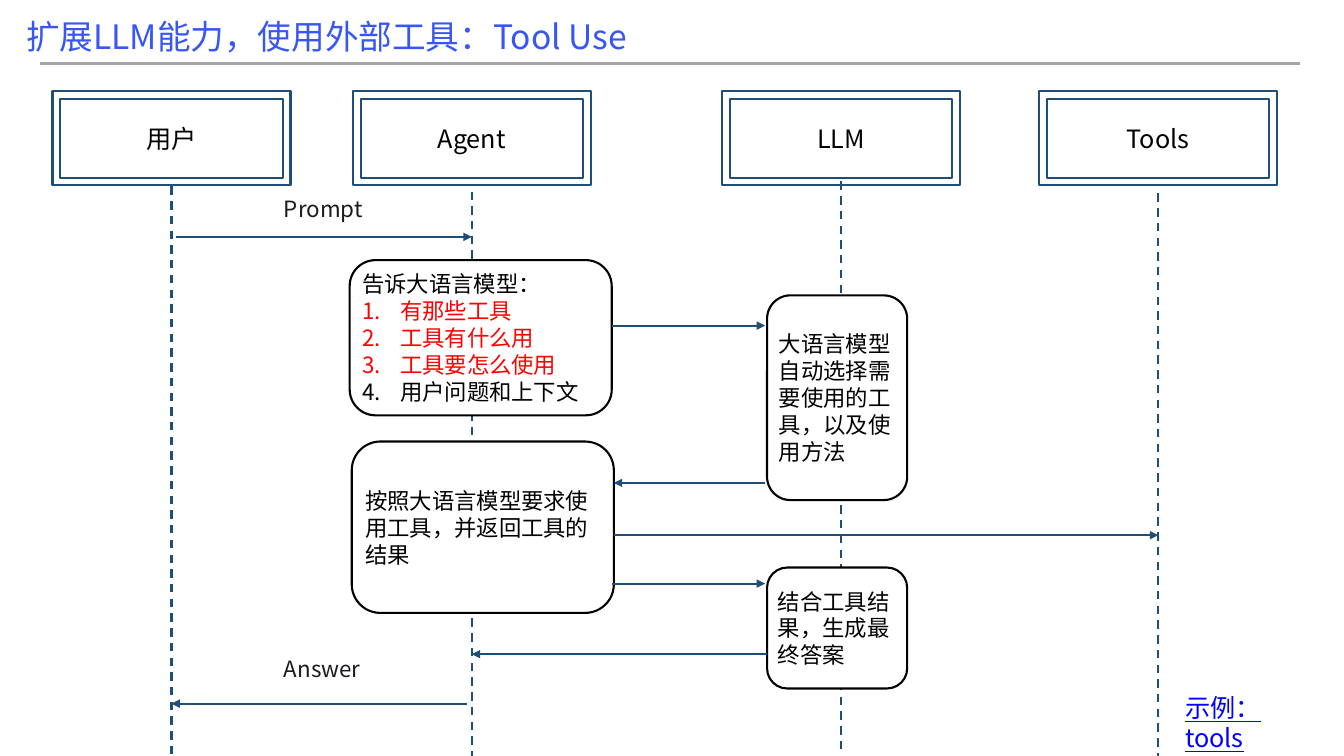
"""Build a sequence diagram slide on how an agent lets an LLM use tools."""
from lxml import etree
from pptx import Presentation
from pptx import util as u
from pptx.dml import color
from pptx.enum import dml, shapes, text
from pptx.oxml import ns

COLORS = {
    "title": "3856F5", "rule": "A6A6A6", "flow": "1F4E79", "label": "191B1F",
    "black": "000000", "white": "FFFFFF", "red": "FF0000", "link": "0000FF",
}
FONT = "Noto Sans CJK SC"
PAGE_WIDTH, PAGE_HEIGHT = 960, 540
HEADER_TOP, HEADER_WIDTH, HEADER_HEIGHT, HEADER_GAP = 64.8, 170, 67.7, 5.6
LIFELINE_LENGTH = 406.8

ACTORS = [("用户", 37.5, 133.2), ("Agent", 252, 136.8), ("LLM", 515.8, 129.6), ("Tools", 742.2, 138.2)]
NOTES = [
    ((249.8, 185.8, 187.2, 110.9), [
        ("告诉大语言模型：", "black", False),
        ("有那些工具", "red", True),
        ("工具有什么用", "red", True),
        ("工具要怎么使用", "red", True),
        ("用户问题和上下文", "black", True),
    ]),
    ((547.9, 211, 100.1, 146.2), [("大语言模型自动选择需要使用的工具，以及使用方法", "black", False)]),
    ((251.3, 315.4, 187.2, 122.4), [("按照大语言模型要求使用工具，并返回工具的结果", "black", False)]),
    ((547.9, 405.4, 100.1, 86.4), [("结合工具结果，生成最终答案", "black", False)]),
]
MESSAGES = [
    (126, 337, 169.2), (437, 546.5, 232.6), (546.5, 438.5, 344.9), (438.5, 827.3, 382.3),
    (437, 546.5, 416.9), (547.9, 337, 467.3), (333.4, 122.5, 502.6),
]


def write(paragraph, content, size=16, ink="black", align=text.PP_ALIGN.LEFT, numbered=False, underline=False):
    """Fill a paragraph with one formatted span."""
    paragraph.alignment = align
    paragraph.line_spacing = u.Pt(size * 1.2)
    if numbered:
        properties = paragraph._p.get_or_add_pPr()
        properties.set("marL", str(u.Pt(27)))
        properties.set("indent", str(u.Pt(-27)))
        etree.SubElement(properties, ns.qn("a:buAutoNum"), type="arabicPeriod")
    span = paragraph.add_run()
    span.text = content
    span.font.size = u.Pt(size)
    span.font.name = FONT
    span.font.color.rgb = color.RGBColor.from_string(COLORS[ink])
    if underline:
        span.font.underline = True
    etree.SubElement(span._r.get_or_add_rPr(), ns.qn("a:ea"), typeface=FONT)


class Diagram:
    """Hold the style and the current slide."""

    def __init__(self, page):
        """Keep the page to draw on."""
        self.page = page

    def title(self, content, left, top, width, height):
        """Move the title placeholder and fill it."""
        box = self.page.shapes.title
        box.left, box.top, box.width, box.height = map(u.Pt, (left, top, width, height))
        frame = box.text_frame
        frame.auto_size = text.MSO_AUTO_SIZE.NONE
        frame.vertical_anchor = text.MSO_ANCHOR.MIDDLE
        write(frame.paragraphs[0], content, size=24, ink="title")

    def line(self, start, end, ink="flow", dashed=False, arrow=False):
        """Draw a straight line, dashed or with an arrowhead if asked."""
        ends = map(u.Pt, (*start, *end))
        line = self.page.shapes.add_connector(shapes.MSO_CONNECTOR.STRAIGHT, *ends)
        line.line.color.rgb = color.RGBColor.from_string(COLORS[ink])
        line.line.width = u.Pt(1.5)
        if dashed:
            line.line.dash_style = dml.MSO_LINE.DASH
        if arrow:
            etree.SubElement(line.line._get_or_add_ln(), ns.qn("a:tailEnd"), type="triangle")
        etree.SubElement(line._element.spPr, ns.qn("a:effectLst"))

    def box(self, parent, kind, place, ink, fill=None):
        """Draw an outlined shape and return its text frame."""
        box = parent.shapes.add_shape(kind, *map(u.Pt, place))
        box.shadow.inherit = False
        box.line.color.rgb = color.RGBColor.from_string(COLORS[ink])
        box.line.width = u.Pt(1.5)
        if fill:
            box.fill.solid()
            box.fill.fore_color.rgb = color.RGBColor.from_string(COLORS[fill])
        else:
            box.fill.background()
        frame = box.text_frame
        frame.word_wrap = True
        frame.vertical_anchor = text.MSO_ANCHOR.MIDDLE
        frame.margin_left = frame.margin_right = frame.margin_top = frame.margin_bottom = u.Pt(3.6)
        return frame

    def header(self, name, left):
        """Draw the double frame that names an actor."""
        group = self.page.shapes.add_group_shape()
        for gap in (0, HEADER_GAP):
            place = (left + gap, HEADER_TOP + gap, HEADER_WIDTH - 2 * gap, HEADER_HEIGHT - 2 * gap)
            frame = self.box(group, shapes.MSO_SHAPE.RECTANGLE, place, "flow")
        write(frame.paragraphs[0], name, size=18, align=text.PP_ALIGN.CENTER)

    def lifeline(self, left, top):
        """Draw the dashed line under an actor."""
        center = left + HEADER_WIDTH / 2
        self.line((center, top), (center, min(top + LIFELINE_LENGTH, PAGE_HEIGHT)), dashed=True)

    def note(self, place, lines):
        """Draw a rounded box with its paragraphs."""
        frame = self.box(self.page, shapes.MSO_SHAPE.ROUNDED_RECTANGLE, place, "black", "white")
        for index, (content, ink, numbered) in enumerate(lines):
            paragraph = frame.add_paragraph() if index else frame.paragraphs[0]
            write(paragraph, content, ink=ink, numbered=numbered)

    def label(self, content, place, **style):
        """Add a free text box."""
        frame = self.page.shapes.add_textbox(*map(u.Pt, place)).text_frame
        frame.word_wrap = True
        write(frame.paragraphs[0], content, **style)


def main():
    """Build and save the deck."""
    deck = Presentation()
    deck.slide_width, deck.slide_height = u.Pt(PAGE_WIDTH), u.Pt(PAGE_HEIGHT)
    diagram = Diagram(deck.slides.add_slide(deck.slide_layouts[5]))
    diagram.line((28.8, 45.4), (928.8, 45.4), ink="rule")
    diagram.title("扩展LLM能力，使用外部工具：Tool Use", 11.5, 7.9, 725.8, 36)
    for name, left, top in ACTORS:
        diagram.header(name, left)
        diagram.lifeline(left, top)
    for place, lines in NOTES:
        diagram.note(place, lines)
    for start, end, height in MESSAGES:
        diagram.line((start, height), (end, height), arrow=True)
    for content, top in (("Prompt", 136.1), ("Answer", 464.4)):
        diagram.label(content, (195.8, top, 89.3, 26.6), ink="label")
    diagram.label("示例：tools", (839.5, 491, 107.3, 28.8), size=18, ink="link", underline=True)
    deck.save("out.pptx")


if __name__ == "__main__":
    main()
